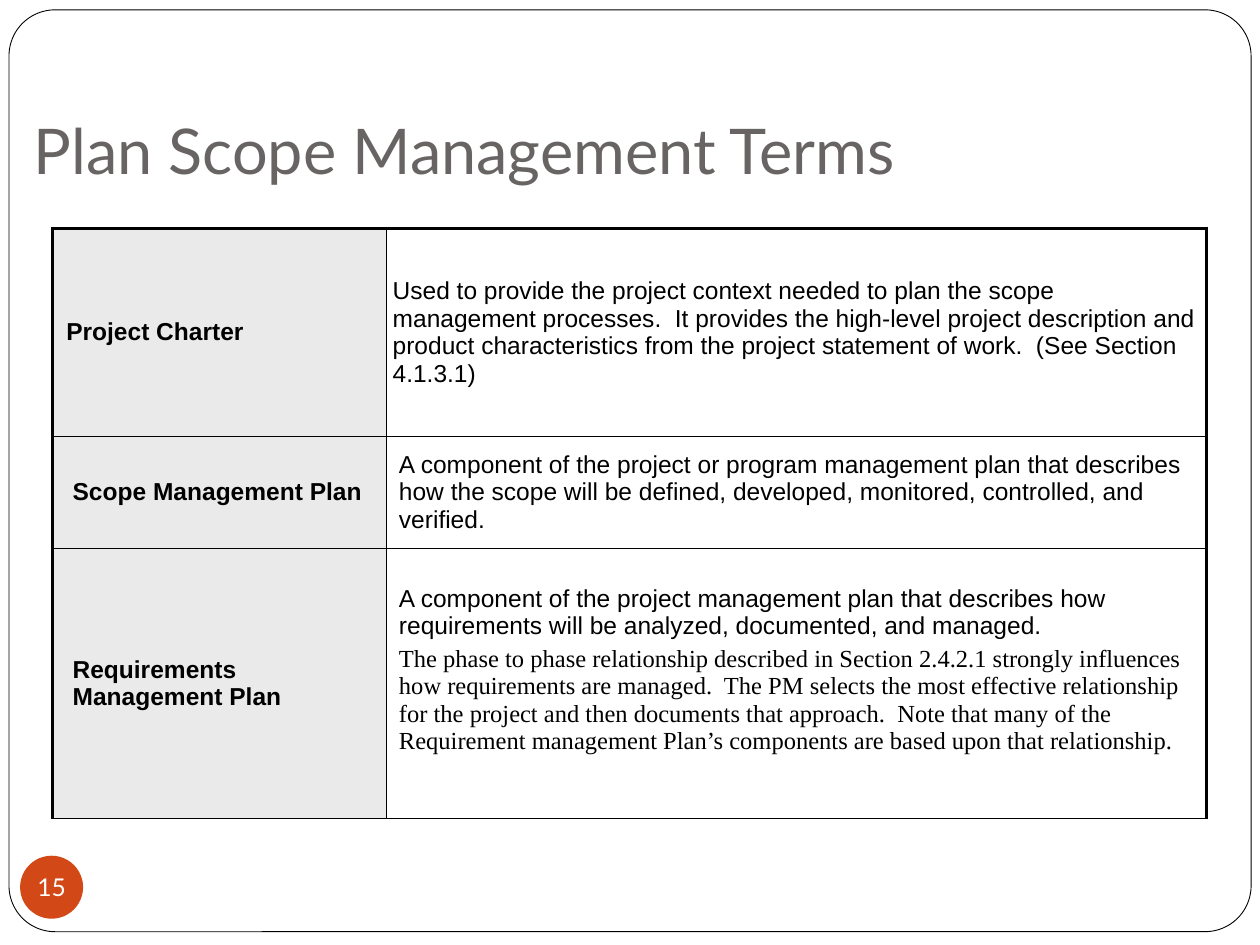
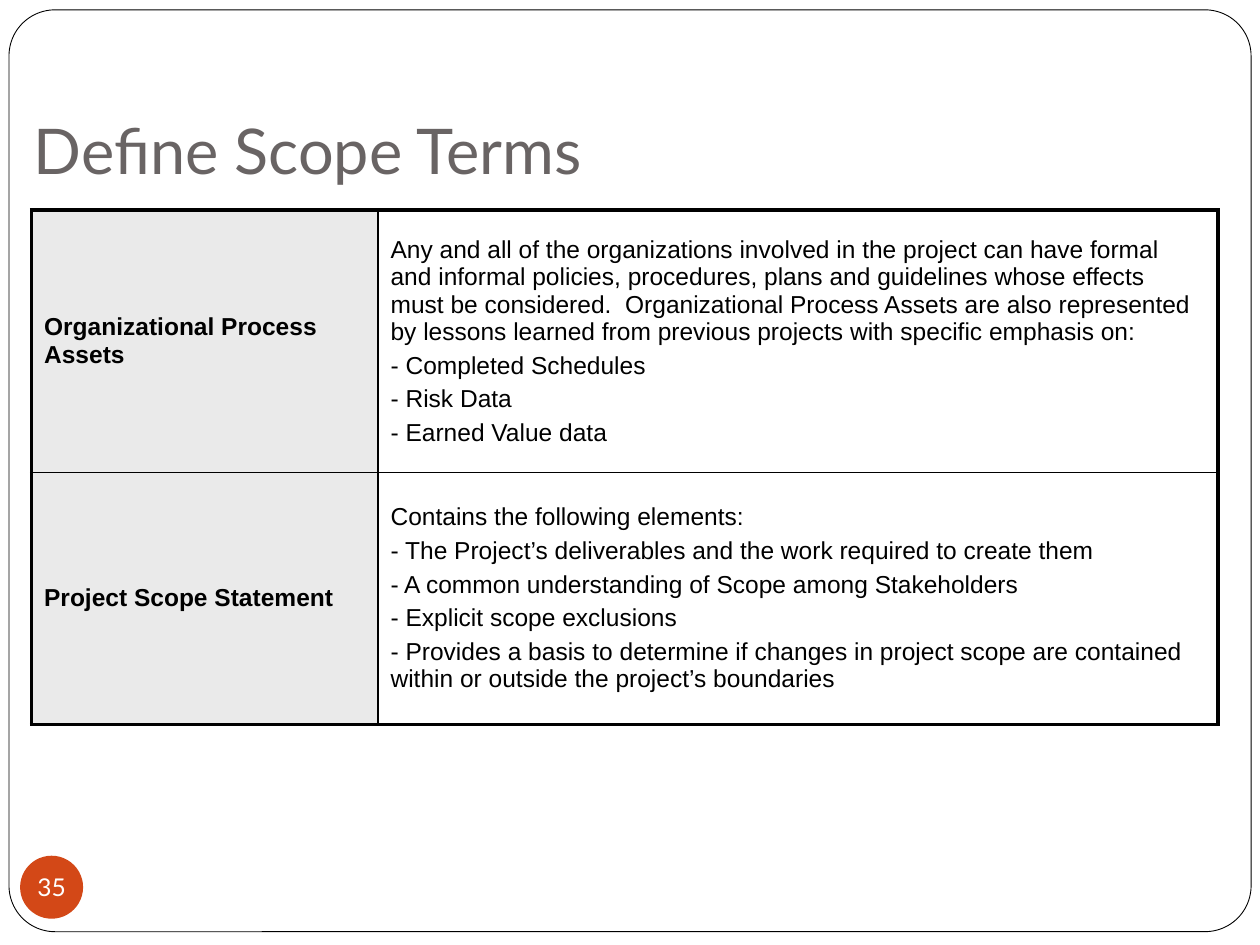
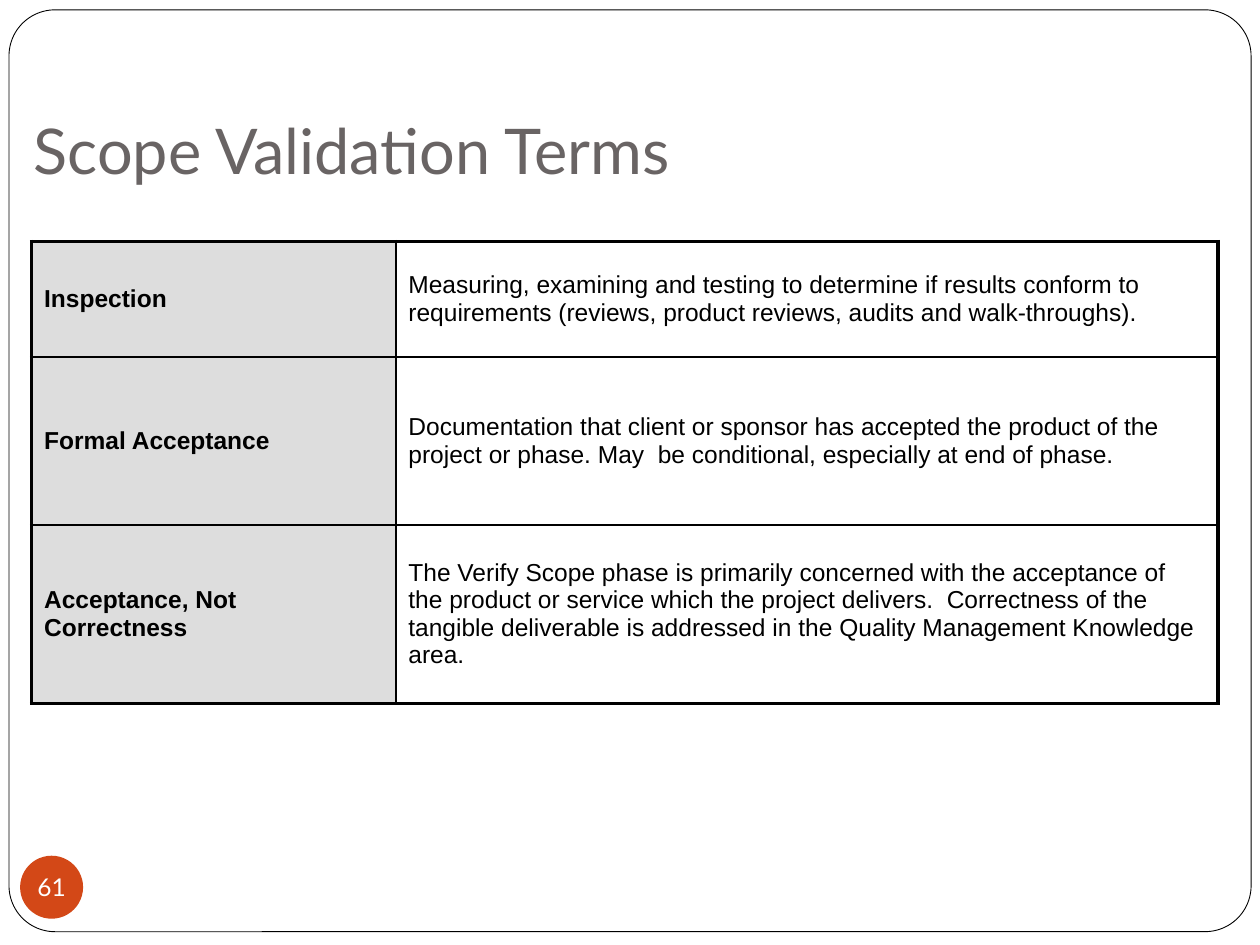
from lxml import etree
from pptx import Presentation
from pptx import util as u
from pptx.dml.color import RGBColor
from pptx.enum import shapes, text
from pptx.oxml.ns import qn

WIDTH, HEIGHT = u.Inches(10), u.Inches(7.5)
COLS, ROWS = 120, 90
CELL_W, CELL_H = WIDTH / COLS, HEIGHT / ROWS

BLACK, WHITE, TITLE_GREY, ORANGE = "000000", "FFFFFF", "696464", "D34817"
THICK, THIN = 2.25, 1

FRAME_BOX = (0.86, 0.94, 118.3, 87.8)
TITLE_BOX = (2, 13, 114, 6)
BADGE_BOX = (1.92, 81.5, 6, 6)

TITLE_FONT = dict(name="Lato", size=u.Pt(36), bold=False)
BADGE_FONT = dict(name="Lato", size=u.Pt(14), bold=False)
TERM_FONT = dict(name="Arial", size=u.Pt(14), bold=True)
BODY_FONT = dict(TERM_FONT, bold=False)
NOTE_FONT = dict(BODY_FONT, name="Times New Roman")


def color(value):
    return RGBColor.from_string(value)


def place(box):
    """Turn grid columns and rows into left, top, width and height."""
    x, y, w, h = box
    return [round(v) for v in (x * CELL_W, y * CELL_H, w * CELL_W, h * CELL_H)]


def apply(target, values):
    for name, value in values.items():
        setattr(target, name, value)


def margins(left, top, right, bottom):
    sides = zip(("left", "top", "right", "bottom"), (left, top, right, bottom))
    return {f"margin_{side}": u.Inches(v) for side, v in sides}


def add_text(p, words, font, ink):
    r = p.add_run()
    r.text = words
    apply(r.font, font)
    r.font.color.rgb = color(ink)


def add_plain_shape(s, kind, box, fill):
    sp = s.shapes.add_shape(kind, *place(box))
    sp.shadow.inherit = False
    sp.fill.solid()
    sp.fill.fore_color.rgb = color(fill)
    return sp


def add_frame(s):
    sp = add_plain_shape(s, shapes.MSO_SHAPE.ROUNDED_RECTANGLE, FRAME_BOX, WHITE)
    sp.adjustments[0] = 0.05
    sp.line.color.rgb = color(BLACK)
    sp.line.width = u.Pt(0.5)
    s.shapes.title.element.addprevious(sp.element)


def add_title(s, words):
    title = s.shapes.title
    apply(title, dict(zip(("left", "top", "width", "height"), place(TITLE_BOX))))
    tf = title.text_frame
    apply(tf, dict(margins(0.1, 0.05, 0.1, 0.1), word_wrap=True,
                   auto_size=text.MSO_AUTO_SIZE.NONE,
                   vertical_anchor=text.MSO_ANCHOR.BOTTOM))
    p = tf.paragraphs[0]
    p.alignment = text.PP_ALIGN.LEFT
    add_text(p, words, TITLE_FONT, TITLE_GREY)


def add_badge(s, number):
    sp = add_plain_shape(s, shapes.MSO_SHAPE.OVAL, BADGE_BOX, ORANGE)
    sp.line.fill.background()
    tf = sp.text_frame
    apply(tf, dict(margins(0, 0, 0, 0), word_wrap=False,
                   vertical_anchor=text.MSO_ANCHOR.MIDDLE))
    p = tf.paragraphs[0]
    p.alignment = text.PP_ALIGN.CENTER
    add_text(p, str(number), BADGE_FONT, WHITE)


def set_borders(cell, left, right, top, bottom):
    tc_pr = cell._tc.get_or_add_tcPr()
    for side, width in zip("LRTB", (left, right, top, bottom)):
        ln = etree.SubElement(tc_pr, qn(f"a:ln{side}"), w=str(u.Pt(width)))
        fill = etree.SubElement(ln, qn("a:solidFill"))
        etree.SubElement(fill, qn("a:srgbClr"), val=BLACK)


def fill_cell(cell, paragraphs, inset):
    """Write (words, font) paragraphs into a vertically centred cell."""
    apply(cell, dict(margins(*inset), vertical_anchor=text.MSO_ANCHOR.MIDDLE))
    tf = cell.text_frame
    for i, (words, font) in enumerate(paragraphs):
        p = tf.add_paragraph() if i else tf.paragraphs[0]
        if i:
            p.space_before = u.Pt(3.5)
        add_text(p, words, font, BLACK)


def add_terms(s, left, top, widths, terms, shade, bottom=THICK):
    """Draw a table of terms; each is (rows high, term, paragraphs, insets)."""
    box = (left, top, sum(widths), sum(term[0] for term in terms))
    table = s.shapes.add_table(len(terms), 2, *place(box)).table
    table.first_row = table.horz_banding = False
    for column, width in zip(table.columns, widths):
        column.width = round(width * CELL_W)
    for i, (height, term, paragraphs, insets) in enumerate(terms):
        table.rows[i].height = round(height * CELL_H)
        upper = THIN if i else THICK
        lower = bottom if i == len(terms) - 1 else THIN
        name, meaning = table.cell(i, 0), table.cell(i, 1)
        set_borders(name, THICK, THIN, upper, lower)
        set_borders(meaning, THIN, THICK, upper, lower)
        name.fill.solid()
        name.fill.fore_color.rgb = color(shade)
        meaning.fill.background()
        fill_cell(name, [(term, TERM_FONT)], insets[0])
        fill_cell(meaning, paragraphs, insets[1])


def body(*lines):
    return [(line, BODY_FONT) for line in lines]


NORMAL = (0.1, 0.05, 0.1, 0.05)
TIGHT = (0.05, 0.05, 0.05, 0.05)
INDENTED = (0.16, 0.05, 0.1, 0.05)
TIGHT_INDENTED = (0.11, 0.05, 0.05, 0.05)
RAISED = (0.1, 0.05, 0.1, 0.27)
PLAIN = (NORMAL, NORMAL)

SLIDES = [
    (15, "Plan Scope Management Terms", dict(
        left=5, top=21.75, widths=(31.8, 78.1), shade="EAEAEA", bottom=THIN, terms=[
            (19.8, "Project Charter", body(
                "Used to provide the project context needed to plan the scope management "
                "processes.  It provides the high-level project description and product "
                "characteristics from the project statement of work.  (See Section 4.1.3.1)"),
             (TIGHT_INDENTED, TIGHT)),
            (10.7, "Scope Management Plan", body(
                "A component of the project or program management plan that describes how "
                "the scope will be defined, developed, monitored, controlled, and verified."),
             (INDENTED, NORMAL)),
            (25.7, "Requirements Management Plan", body(
                "A component of the project management plan that describes how requirements "
                "will be analyzed, documented, and managed.") + [(
                    "The phase to phase relationship described in Section 2.4.2.1 strongly "
                    "influences how requirements are managed.  The PM selects the most "
                    "effective relationship for the project and then documents that "
                    "approach.  Note that many of the Requirement management Plan’s "
                    "components are based upon that relationship.", NOTE_FONT)],
             (INDENTED, RAISED)),
        ])),
    (35, "Define Scope Terms", dict(
        left=3, top=20, widths=(33, 80), shade="EAEAEA", terms=[
            (25, "Organizational Process Assets", body(
                "Any and all of the organizations involved in the project can have formal "
                "and informal policies, procedures, plans and guidelines whose effects must "
                "be considered.  Organizational Process Assets are also represented by "
                "lessons learned from previous projects with specific emphasis on:",
                "- Completed Schedules",
                "- Risk Data",
                "- Earned Value data"), PLAIN),
            (24, "Project Scope Statement", body(
                "Contains the following elements:",
                "- The Project’s deliverables and the work required to create them",
                "- A common understanding of Scope among Stakeholders",
                "- Explicit scope exclusions",
                "- Provides a basis to determine if changes in project scope are contained "
                "within or outside the project’s boundaries"), PLAIN),
        ])),
    (61, "Scope Validation Terms", dict(
        left=3, top=23, widths=(34.7, 78.3), shade="DDDDDD", terms=[
            (11, "Inspection", body(
                "Measuring, examining and testing to determine if results conform to "
                "requirements (reviews, product reviews, audits and walk-throughs)."), PLAIN),
            (16, "Formal Acceptance", body(
                "Documentation that client or sponsor has accepted the product of the "
                "project or phase. May  be conditional, especially at end of phase."), PLAIN),
            (17, "Acceptance, Not Correctness", body(
                "The Verify Scope phase is primarily concerned with the acceptance of the "
                "product or service which the project delivers.  Correctness of the "
                "tangible deliverable is addressed in the Quality Management Knowledge "
                "area."), PLAIN),
        ])),
]


def main():
    prs = Presentation()
    prs.slide_width, prs.slide_height = WIDTH, HEIGHT
    title_only = prs.slide_layouts[5]
    for number, title, terms in SLIDES:
        s = prs.slides.add_slide(title_only)
        add_frame(s)
        add_title(s, title)
        add_terms(s, **terms)
        add_badge(s, number)
    prs.save("out.pptx")


if __name__ == "__main__":
    main()
